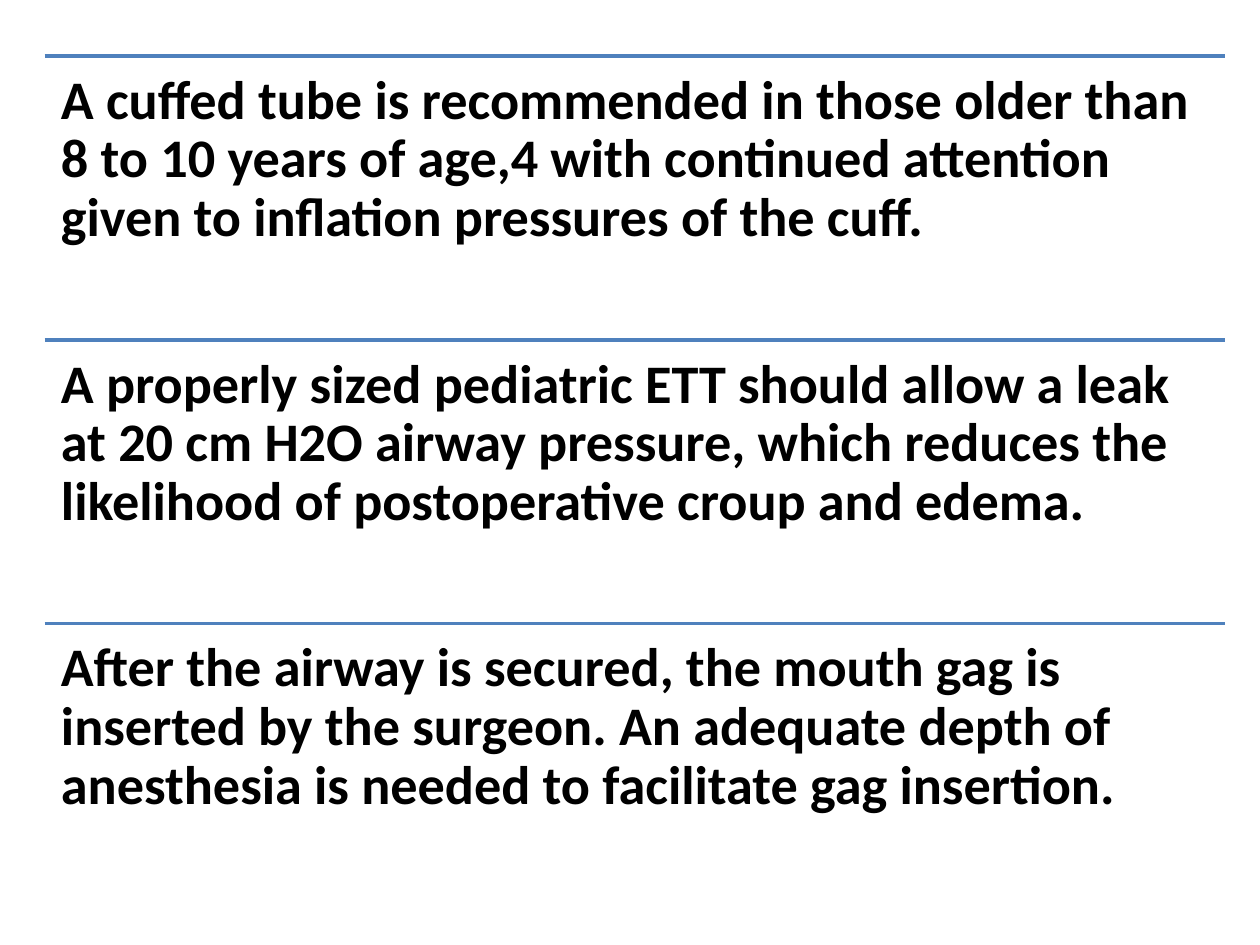
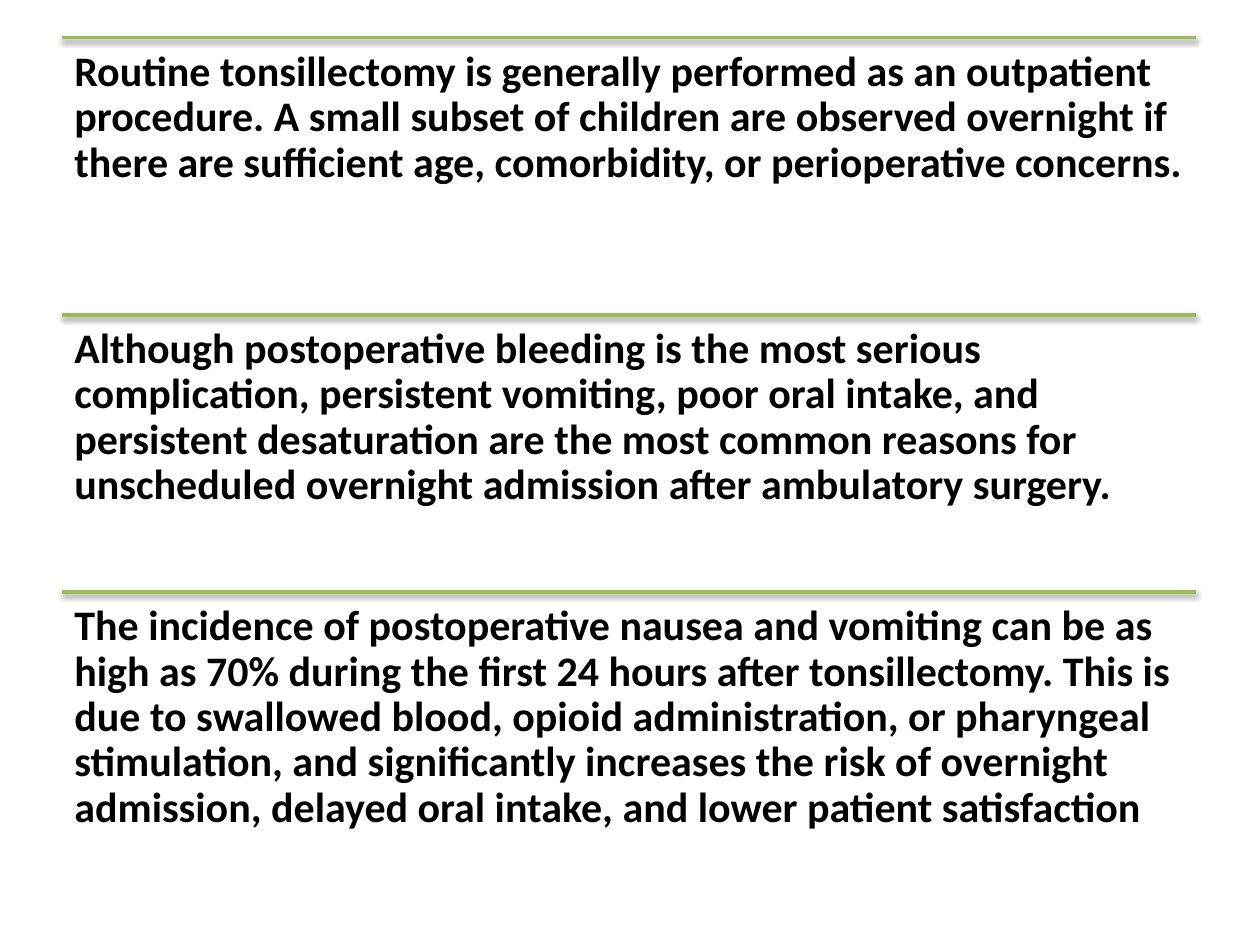
import pptx
import pptx.util
import pptx.dml.color
import pptx.enum.shapes
import pptx.enum.text
import pptx.oxml
import pptx.oxml.ns

Cm = pptx.util.Cm
Pt = pptx.util.Pt

BLUE = pptx.dml.color.RGBColor(0x4F, 0x81, 0xBD)
GREEN = pptx.dml.color.RGBColor(0x9B, 0xBB, 0x59)
BLACK = pptx.dml.color.RGBColor(0x00, 0x00, 0x00)
FONT = "Calibri"

SHADOW = (
    '<a:outerShdw blurRad="40000" dist="20000" dir="5400000" rotWithShape="0">'
    '<a:srgbClr val="000000"><a:alpha val="38000"/></a:srgbClr></a:outerShdw>'
)

AIRWAY_POINTS = [
    "A cuffed tube is recommended in those older than 8 to 10 years of age,4 with "
    "continued attention given to inflation pressures of the cuff.",
    "A properly sized pediatric ETT should allow a leak at 20 cm H2O airway pressure, "
    "which reduces the likelihood of postoperative croup and edema.",
    "After the airway is secured, the mouth gag is inserted by the surgeon. An adequate "
    "depth of anesthesia is needed to facilitate gag insertion.",
]
RECOVERY_POINTS = [
    "Routine tonsillectomy is generally performed as an outpatient procedure. A small "
    "subset of children are observed overnight if there are sufficient age, comorbidity, "
    "or perioperative concerns.",
    "Although postoperative bleeding is the most serious complication, persistent "
    "vomiting, poor oral intake, and persistent desaturation are the most common reasons "
    "for unscheduled overnight admission after ambulatory surgery.",
    "The incidence of postoperative nausea and vomiting can be as high as 70% during the "
    "first 24 hours after tonsillectomy. This is due to swallowed blood, opioid "
    "administration, or pharyngeal stimulation, and significantly increases the risk of "
    "overnight admission, delayed oral intake, and lower patient satisfaction",
]


def add_rule(slide, left, top, width, color, shadow):
    line = slide.shapes.add_connector(
        pptx.enum.shapes.MSO_CONNECTOR.STRAIGHT, left, top, left + width, top)
    line.line.color.rgb = color
    line.line.width = Pt(2)
    effects = pptx.oxml.parse_xml(
        f'<a:effectLst {pptx.oxml.ns.nsdecls("a")}>{shadow}</a:effectLst>')
    line._element.spPr.append(effects)


def add_point(slide, left, top, width, height, text, size, inset):
    tf = slide.shapes.add_textbox(left, top, width, height).text_frame
    tf.word_wrap = True
    tf.vertical_anchor = pptx.enum.text.MSO_ANCHOR.TOP
    tf.margin_left = tf.margin_top = tf.margin_right = tf.margin_bottom = inset
    p = tf.paragraphs[0]
    p.text = text
    p.line_spacing = 0.9
    p.font.name = FONT
    p.font.size = Pt(size)
    p.font.bold = True
    p.font.color.rgb = BLACK


def add_ruled_list(prs, points, box, color, size, inset, shadow=""):
    """Add a slide whose box is split into equal rows, each under a rule."""
    slide = prs.slides.add_slide(prs.slide_layouts[6])
    left, top, width, height = box
    row_height = height // len(points)
    for i, text in enumerate(points):
        row_top = top + i * row_height
        add_rule(slide, left, row_top, width, color, shadow)
        add_point(slide, left, row_top, width, row_height, text, size, inset)


def main():
    prs = pptx.Presentation()
    prs.slide_width, prs.slide_height = Cm(25.4), Cm(19.05)
    add_ruled_list(prs, AIRWAY_POINTS, (Cm(0.9), Cm(1.13), Cm(23.8), Cm(17.16)),
                   BLUE, 31, Cm(0.33))
    add_ruled_list(prs, RECOVERY_POINTS, (Cm(1.25), Cm(0.76), Cm(22.86), Cm(16.76)),
                   GREEN, 24, Cm(0.25), SHADOW)
    prs.save("out.pptx")


if __name__ == "__main__":
    main()
